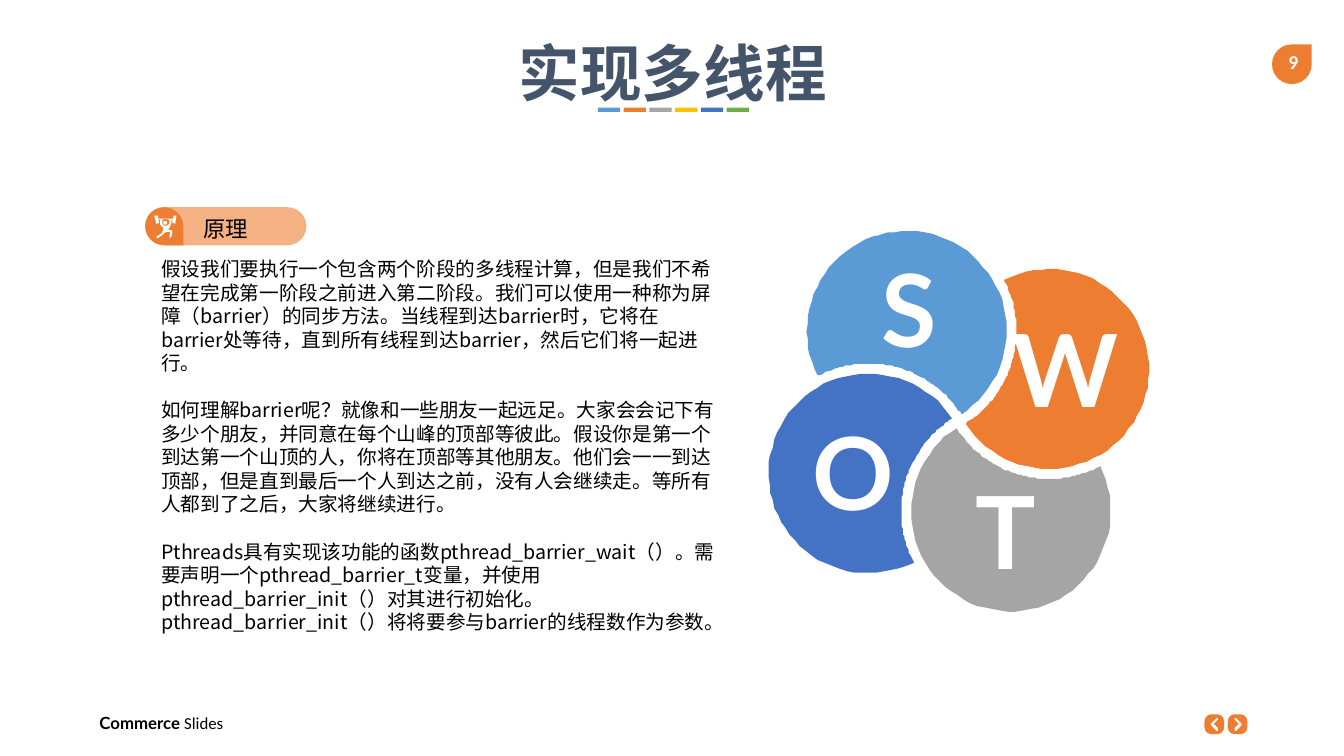
from math import acos, atan2, cos, dist, pi, radians, sin
from pptx import Presentation
from pptx.dml.color import RGBColor
from pptx.enum import shapes, text
from pptx.oxml.ns import qn
from pptx.util import Pt

HUE = dict(blue="5B9BD5", orange="ED7D31", grey="A5A5A5", gold="FFC000",
           navy="4472C4", green="70AD47", peach="F4B183", slate="44546A",
           white="FFFFFF", black="000000")
CJK = "Noto Sans CJK SC"
TITLE = "实现多线程"
HEAD = "原理"
BODY = [
    "假设我们要执行一个包含两个阶段的多线程计算，但是我们不希望在完成第一阶段之前进入第二阶段。我们可以使用一种称为屏障（barrier）的同步方法。当线程到达barrier时，它将在barrier处等待，直到所有线程到达barrier，然后它们将一起进行。",
    "如何理解barrier呢？就像和一些朋友一起远足。大家会会记下有多少个朋友，并同意在每个山峰的顶部等彼此。假设你是第一个到达第一个山顶的人，你将在顶部等其他朋友。他们会一一到达顶部，但是直到最后一个人到达之前，没有人会继续走。等所有人都到了之后，大家将继续进行。",
    "Pthreads具有实现该功能的函数pthread_barrier_wait（）。需要声明一个pthread_barrier_t变量，并使用pthread_barrier_init（）对其进行初始化。 pthread_barrier_init（）将将要参与barrier的线程数作为参数。",
]
PETALS = [("S", "blue", 602, 171.4), ("W", "orange", 713.5, 213.8),
          ("T", "grey", 671, 329.8), ("O", "navy", 561.6, 288)]
BARS = ["blue", "orange", "grey", "gold", "navy", "green"]
LIFTER = [
    [(75, 14), (74, 22), (71, 21), (71, 18), (70, 18), (70, 22), (68, 26),
     (67, 28), (70, 28), (71, 30), (70, 35), (69, 36), (68, 35), (69, 30),
     (65, 30), (61, 33), (57, 36), (55, 35.5), (56, 34), (60, 32), (62, 28),
     (62, 26), (59, 23), (59, 18), (57, 18), (58, 21), (55, 22), (53, 14),
     (57, 14), (57, 17), (64, 17), (72, 17), (72, 14)],
    [(68, 18), (64, 17.4), (61, 18), (61, 22), (63, 24), (65, 24), (68, 22)],
]
CHEVRON = [(5.8, 9.8), (5.8, 11.6), (4.8, 11.8), (1, 8), (1, 6.8),
           (4.8, 3), (5.8, 3.2), (5.8, 4.6), (2.8, 7.4)]
HUB, REACH, INNER, OUTER = (684.9, 300.8), 74.5, 71.3, 78.5

deck = Presentation()
deck.slide_width, deck.slide_height = Pt(960), Pt(540)
slide = deck.slides.add_slide(deck.slide_layouts[5])
KIND = shapes.MSO_SHAPE


def paint(shape, hue):
    shape.shadow.inherit = False
    shape.fill.solid()
    shape.fill.fore_color.rgb = RGBColor.from_string(HUE[hue])
    shape.line.fill.background()
    return shape


def block(kind, box, hue):
    return paint(slide.shapes.add_shape(kind, *map(Pt, box)), hue)


def outline(loops, hue, unit=1.0):
    pen = slide.shapes.build_freeform(*loops[0][0], scale=Pt(unit))
    for n, loop in enumerate(loops):
        if n:
            pen.move_to(*loop[0])
        pen.add_line_segments(loop[1:], close=True)
    return paint(pen.convert_to_shape(), hue)


def style(run, size, font, hue, bold=False):
    run.font.size, run.font.name, run.font.bold = Pt(size), font, bold
    run.font.color.rgb = RGBColor.from_string(HUE[hue])
    if font == CJK:
        east = run._r.get_or_add_rPr().makeelement(qn("a:ea"), {"typeface": font})
        run.font._element.find(qn("a:latin")).addnext(east)


def write(shape, lines, size, font, hue, bold=False, mid=False, pad=(7.2, 3.6),
          pitch=None, gap=0, wrap=True):
    frame = shape.text_frame
    frame.text = "\n".join(lines)
    frame.word_wrap = wrap
    frame.auto_size = text.MSO_AUTO_SIZE.NONE
    frame.vertical_anchor = text.MSO_ANCHOR.TOP
    frame.margin_left = frame.margin_right = Pt(pad[0])
    frame.margin_top = frame.margin_bottom = Pt(pad[1])
    for para in frame.paragraphs:
        para.alignment = text.PP_ALIGN.CENTER if mid else text.PP_ALIGN.LEFT
        para.space_before, para.space_after = Pt(0), Pt(gap)
        if pitch:
            para.line_spacing = Pt(pitch)
        for run in para.runs:
            style(run, size, font, hue, bold)
    return frame


def label(box, *rest, **more):
    return write(slide.shapes.add_textbox(*map(Pt, box)), *rest, **more)


def arc(mid, size, start, end, steps=60):
    turns = [start + (end - start) * n / steps for n in range(steps + 1)]
    return [(mid[0] + size * cos(t), mid[1] + size * sin(t)) for t in turns]


def petal(mid, near):
    gap = dist(mid, near)
    way = atan2(near[1] - mid[1], near[0] - mid[0])
    own = acos((INNER**2 + gap**2 - OUTER**2) / (2 * INNER * gap))
    cut = acos((OUTER**2 + gap**2 - INNER**2) / (2 * OUTER * gap))
    return (arc(mid, INNER, way + own, way + 2 * pi - own)
            + arc(near, OUTER, way + pi + cut, way + pi - cut))


title = slide.shapes.title
title.left, title.top, title.width, title.height = map(Pt, (68.4, 21.4, 824.4, 60.5))
write(title, [TITLE], 44, CJK, "slate", bold=True, mid=True, pitch=53)
for n, hue in enumerate(BARS):
    block(KIND.RECTANGLE, (427 + 18.4 * n, 77, 16, 3), hue)

block(KIND.TEAR, (908.6, 31.7, 28.4, 28.4), "orange")
label((913, 32.4, 21.6, 24), ["9"], 14, "Calibri", "white", bold=True, mid=True, wrap=False)
foot = label((64, 505.4, 144, 21.6), ["Commerce "], 12, "Lato", "black", bold=True)
tail = foot.paragraphs[0].add_run()
tail.text = "Slides"
style(tail, 12, "Calibri", "black")

for left, flip in ((860.4, False), (877, True)):
    tile = block(KIND.ROUNDED_RECTANGLE, (left, 510.2, 14, 14.2), "orange")
    tile.adjustments[0] = 0.35
    side = [(left + (10.6 - x if flip else 3.4 + x), 509.9 + y) for x, y in CHEVRON]
    outline([side], "white")

spots = [arc(HUB, REACH, radians(90 * n - 120), 0, 1)[0] for n in range(4)]
for n, (word, hue, left, top) in enumerate(PETALS):
    outline([petal(spots[n], spots[n - 1])], hue)
for word, hue, left, top in PETALS:
    label((left, top, 95, 96.5), [word], 72, "Lato", "white", bold=True, mid=True,
          pad=(9.4, 5))

pill = block(KIND.ROUNDED_RECTANGLE, (103.7, 148, 115.2, 27.2), "peach")
pill.adjustments[0] = 0.5
block(KIND.TEAR, (103.7, 148, 27.2, 27.2), "orange").rotation = 90
outline([[(x + 100, y + 200) for x, y in loop] for loop in LIFTER], "white", 0.72)
block(KIND.OVAL, (116.6, 157.7, 2.9, 2.9), "white")
label((136.8, 149, 49, 28), [HEAD], 16, CJK, "black", pad=(8.6, 4.3), pitch=19.4, wrap=False)
label((106.6, 179.3, 414.7, 262.8), BODY, 14, CJK, "black", pad=(8.6, 4.3),
      pitch=16.8, gap=16.8)

deck.save("out.pptx")
